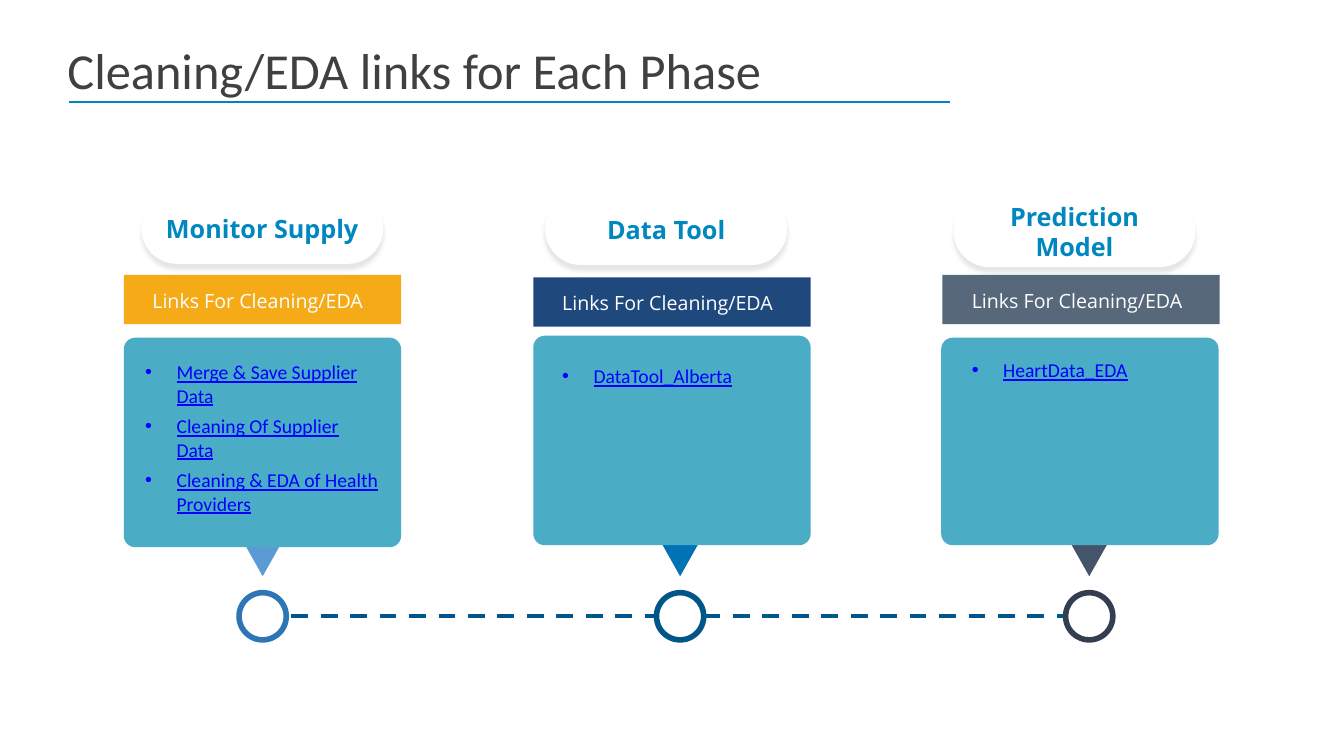
from dataclasses import dataclass

from lxml.etree import SubElement
from pptx import Presentation
from pptx.dml.color import RGBColor
from pptx.enum.dml import MSO_LINE
from pptx.enum.shapes import MSO_CONNECTOR, MSO_SHAPE as Preset
from pptx.enum.text import MSO_ANCHOR as Anchor, MSO_AUTO_SIZE as AutoSize, PP_ALIGN as Align
from pptx.oxml.ns import qn
from pptx.util import Cm, Pt

WHITE = RGBColor(0xFF, 0xFF, 0xFF)
CHARCOAL = RGBColor(0x40, 0x40, 0x40)
HEADING_BLUE = RGBColor(0x01, 0x87, 0xC0)
RULE_BLUE = RGBColor(0x00, 0x84, 0xBD)
TIMELINE_BLUE = RGBColor(0x00, 0x56, 0x88)
PANEL_TEAL = RGBColor(0x4B, 0xAC, 0xC6)
LINK_BLUE = RGBColor(0x00, 0x00, 0xFF)
AMBER = RGBColor(0xF4, 0xAB, 0x17)
NAVY = RGBColor(0x1F, 0x49, 0x7D)
SLATE = RGBColor(0x57, 0x68, 0x7B)
SKY = RGBColor(0x5B, 0x9B, 0xD5)
AZURE = RGBColor(0x00, 0x72, 0xB5)
STEEL = RGBColor(0x44, 0x54, 0x6A)
RING_BLUE = RGBColor(0x2E, 0x75, 0xB6)
RING_DARK = RGBColor(0x33, 0x3F, 0x50)

BODY_FONT = "Calibri"
HEADING_FONT = "Open Sans"
TIMELINE_Y = 15.53
RING_SIZE = 1.19
POINTER_WIDTH = 0.89


@dataclass
class Phase:
    name: str
    links: list
    heading_at: tuple
    banner_at: tuple
    label_x: float
    panel_box: tuple
    links_box: tuple
    node_x: float
    banner_color: RGBColor
    pointer_color: RGBColor
    ring_color: RGBColor


PHASES = [
    Phase("Monitor Supply",
          ["Merge & Save Supplier Data", "Cleaning Of Supplier Data",
           "Cleaning & EDA of Health Providers"],
          (3.56, 4.85), (3.12, 6.93), 3.84, (3.12, 8.51, 6.99, 5.28),
          (3.66, 8.94, 5.89, 4.19), 6.62, AMBER, SKY, RING_BLUE),
    Phase("Data Tool", ["DataTool_Alberta"],
          (13.74, 4.88), (13.44, 6.99), 14.17, (13.44, 8.46, 6.99, 5.28),
          (14.17, 9.04, 5.89, 0.86), 17.14, NAVY, AZURE, TIMELINE_BLUE),
    Phase("Prediction Model", ["HeartData_EDA"],
          (24.03, 4.93), (23.75, 6.93), 24.49, (23.72, 8.51, 6.99, 5.23),
          (24.49, 8.89, 5.89, 0.86), 27.45, SLATE, STEEL, RING_DARK),
]


def add_block(slide, preset, box, fill, outline=None, radius=None):
    block = slide.shapes.add_shape(preset, *map(Cm, box))
    block.shadow.inherit = False
    block.fill.solid()
    block.fill.fore_color.rgb = fill
    if outline is None:
        block.line.fill.background()
    else:
        block.line.color.rgb = outline
        block.line.width = Pt(4)
    if radius is not None:
        block.adjustments[0] = radius
    return block


def add_soft_shadow(block):
    effects = block._element.spPr.find(qn("a:effectLst"))
    shadow = SubElement(effects, qn("a:outerShdw"), blurRad=str(Pt(3)), dist=str(Pt(4)),
                        dir="5400000", algn="t", rotWithShape="0")
    color = SubElement(shadow, qn("a:srgbClr"), val="000000")
    SubElement(color, qn("a:alpha"), val="10000")


def add_line(slide, start, end, color, width, dash=None):
    line = slide.shapes.add_connector(MSO_CONNECTOR.STRAIGHT, *map(Cm, start + end))
    line.line.color.rgb = color
    line.line.width = Pt(width)
    if dash is not None:
        line.line.dash_style = dash
    SubElement(line._element.spPr, qn("a:effectLst"))


def add_bullet(paragraph):
    properties = paragraph._p.get_or_add_pPr()
    properties.set("marL", str(Cm(0.79)))
    properties.set("indent", str(Cm(-0.79)))
    SubElement(properties, qn("a:buFont"), typeface="Arial")
    SubElement(properties, qn("a:buChar"), char="•")


def write(frame, *lines, size, font, color, bold=False, underline=False,
          align=Align.LEFT, anchor=Anchor.TOP, before=0, bullets=False):
    frame.word_wrap = True
    frame.vertical_anchor = anchor
    for index, line in enumerate(lines):
        paragraph = frame.add_paragraph() if index else frame.paragraphs[0]
        paragraph.alignment = align
        paragraph.space_before = Pt(before)
        if bullets:
            add_bullet(paragraph)
        run = paragraph.add_run()
        run.text = line
        run.font.size = Pt(size)
        run.font.name = font
        run.font.color.rgb = color
        run.font.bold = bold
        run.font.underline = underline


def add_text(slide, box, *lines, inset=0.13, grow=True, **style):
    frame = slide.shapes.add_textbox(*map(Cm, box)).text_frame
    frame.margin_left = frame.margin_right = 0
    frame.margin_top = frame.margin_bottom = Cm(inset)
    write(frame, *lines, **style)
    frame.auto_size = AutoSize.SHAPE_TO_FIT_TEXT if grow else AutoSize.NONE


def add_pointer(slide, phase):
    pointer = add_block(slide, Preset.ISOSCELES_TRIANGLE,
                        (phase.node_x - POINTER_WIDTH / 2, 13.73, POINTER_WIDTH, 0.79),
                        phase.pointer_color)
    pointer.rotation = 180


def add_phase(slide, phase):
    add_block(slide, Preset.ROUNDED_RECTANGLE, phase.panel_box, PANEL_TEAL, radius=0.055)
    add_block(slide, Preset.RECTANGLE, (*phase.banner_at, 6.99, 1.24), phase.banner_color)

    heading = add_block(slide, Preset.ROUNDED_RECTANGLE, (*phase.heading_at, 6.1, 1.8),
                        WHITE, radius=0.5)
    add_soft_shadow(heading)
    write(heading.text_frame, phase.name, size=18, font=HEADING_FONT, color=HEADING_BLUE,
          bold=True, align=Align.CENTER, anchor=Anchor.MIDDLE)

    add_block(slide, Preset.OVAL,
              (phase.node_x - RING_SIZE / 2, TIMELINE_Y - RING_SIZE / 2, RING_SIZE, RING_SIZE),
              WHITE, outline=phase.ring_color)
    add_text(slide, (phase.label_x, phase.banner_at[1] + 0.21, 5.89, 0.86),
             "Links For Cleaning/EDA", size=14, font=HEADING_FONT, color=WHITE, before=5)
    add_text(slide, phase.links_box, *phase.links, size=14, font=BODY_FONT,
             color=LINK_BLUE, underline=True, before=5, bullets=True)


def main():
    deck = Presentation()
    deck.slide_width, deck.slide_height = Cm(33.87), Cm(19.05)
    slide = deck.slides.add_slide(deck.slide_layouts[6])

    add_text(slide, (1.7, 0.76, 30.48, 1.98), "Cleaning/EDA links for Each Phase",
             inset=0, grow=False, size=36, font=BODY_FONT, color=CHARCOAL,
             anchor=Anchor.MIDDLE)
    add_line(slide, (1.73, 2.57), (23.93, 2.57), RULE_BLUE, 1)

    for phase in PHASES:
        add_pointer(slide, phase)
    add_line(slide, (6.6, TIMELINE_Y), (27.23, TIMELINE_Y), TIMELINE_BLUE, 3, MSO_LINE.DASH)
    for phase in PHASES:
        add_phase(slide, phase)

    deck.save("out.pptx")


if __name__ == "__main__":
    main()
